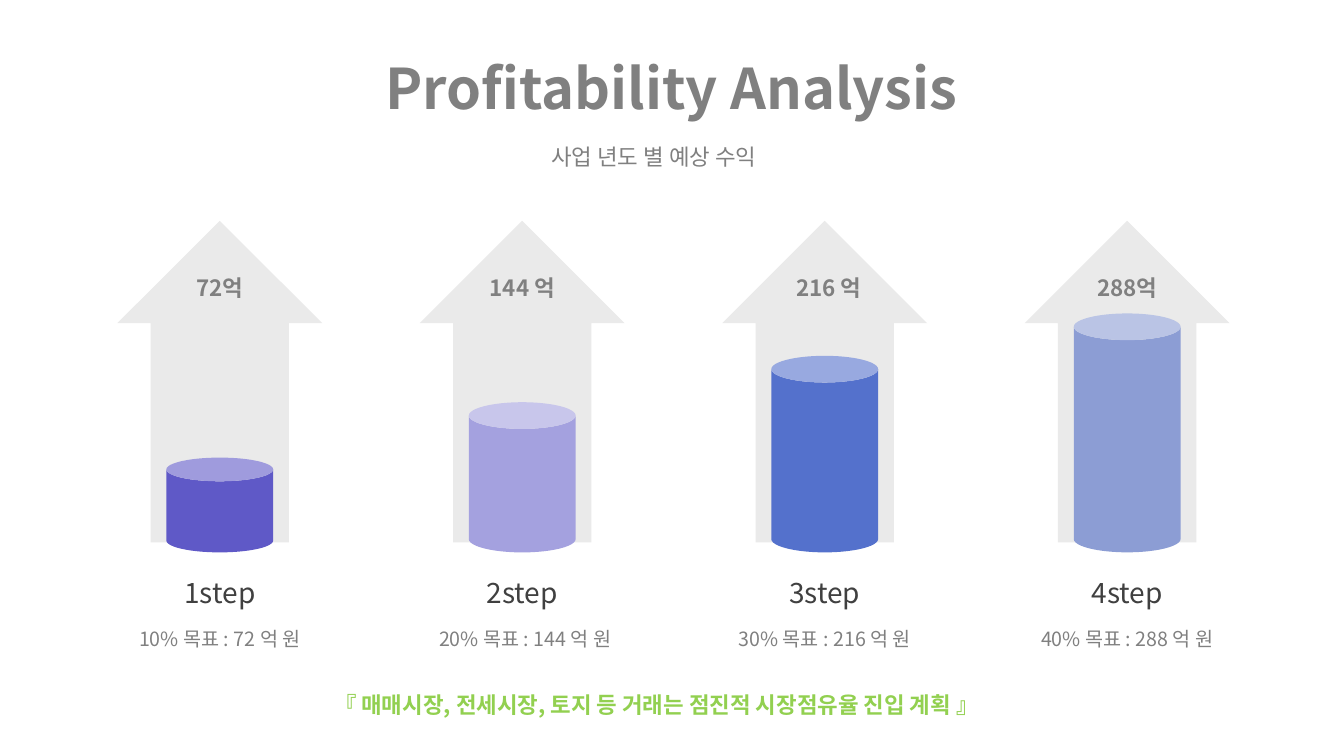
import pptx
import pptx.dml.color
import pptx.enum.shapes
import pptx.enum.text
import pptx.oxml.ns
import pptx.util
from lxml import etree

FONT = "Noto Sans CJK KR"
GRAY = "808080"
SHAPE = pptx.enum.shapes.MSO_SHAPE
W, H = 13.33, 7.5
FIRST, PITCH = 2.18, 3
BASE = 5.48
STEPS = [
    (72, "72억", 0.94, "5F59C7", 0, 0),
    (144, "144 억", 1.49, "A4A1DF", 0, 0.03),
    (216, "216 억", 1.95, "5471CC", 0.04, 0),
    (288, "288억", 2.37, "8C9DD4", 0, 0),
]


def rgb(color):
    return pptx.dml.color.RGBColor.from_string(color)


def put_text(sp, text, x, y, w, h, size=16, color=GRAY, bold=False, spacing=None,
             anchor=pptx.enum.text.MSO_ANCHOR.TOP):
    sp.left, sp.top, sp.width, sp.height = [pptx.util.Inches(v) for v in (x, y, w, h)]
    tf = sp.text_frame
    tf.word_wrap = True
    tf.auto_size = pptx.enum.text.MSO_AUTO_SIZE.NONE
    tf.vertical_anchor = anchor
    p = tf.paragraphs[0]
    p.alignment = pptx.enum.text.PP_ALIGN.CENTER
    p.line_spacing = spacing
    r = p.add_run()
    r.text = text
    r.font.name = FONT
    r.font.size = pptx.util.Pt(size)
    r.font.bold = bold
    r.font.color.rgb = rgb(color)
    ea = etree.SubElement(r.font._element, pptx.oxml.ns.qn("a:ea"))
    ea.set("typeface", FONT)


prs = pptx.Presentation()
prs.slide_width = pptx.util.Inches(W)
prs.slide_height = pptx.util.Inches(H)
s = prs.slides.add_slide(prs.slide_layouts[5])

put_text(s.shapes.title, "Profitability Analysis", 0.88, 0.36, 11.56, 1, size=40, bold=True,
         anchor=pptx.enum.text.MSO_ANCHOR.MIDDLE)
put_text(s.shapes.add_textbox(0, 0, 0, 0), "사업 년도 별 예상 수익", 1.43, 1.37, 10.11, 0.41)

for i, (amount, label, height, color, label_shift, goal_shift) in enumerate(STEPS):
    center = FIRST + i * PITCH
    column = s.shapes.add_group_shape()
    for kind, w, top, h, fill in [
        (SHAPE.UP_ARROW, 2.03, 2.19, 3.19, "EAEAEA"),
        (SHAPE.CAN, 1.06, BASE - height, height, color),
    ]:
        sp = column.shapes.add_shape(
            kind, *[pptx.util.Inches(v) for v in (center - w / 2, top, w, h)])
        sp.shadow.inherit = False
        sp.fill.solid()
        sp.fill.fore_color.rgb = rgb(fill)
        sp.line.fill.background()
        if kind == SHAPE.UP_ARROW:
            sp.adjustments[0] = 0.676
            sp.adjustments[1] = 0.5
    put_text(column.shapes.add_textbox(0, 0, 0, 0), label,
             center + label_shift - 0.69, 2.67, 1.38, 0.37, bold=True)

    caption = s.shapes.add_group_shape()
    put_text(caption.shapes.add_textbox(0, 0, 0, 0), f"{i + 1}step",
             center - 1.69, 5.66, 3.38, 0.44, size=20, color="404040")
    put_text(caption.shapes.add_textbox(0, 0, 0, 0), f"{10 * (i + 1)}% 목표 : {amount} 억 원",
             center + goal_shift - 1.36, 6.17, 2.72, 0.34, size=14)

put_text(s.shapes.add_textbox(0, 0, 0, 0),
         "『 매매시장, 전세시장, 토지 등 거래는 점진적 시장점유율 진입 계획 』",
         2.26, 6.75, 8.5, 0.46, color="92D050", bold=True, spacing=1.2)

prs.save("out.pptx")
